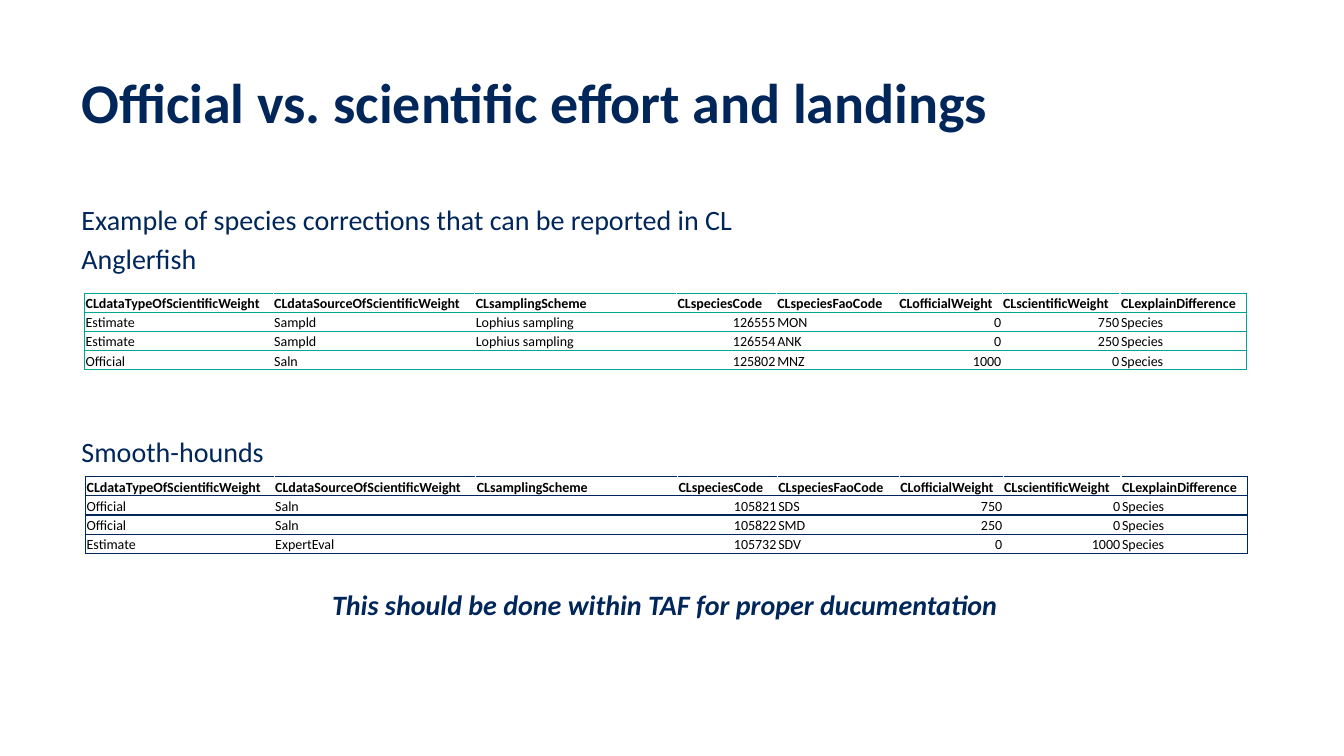
from pptx import Presentation
from pptx.dml.color import RGBColor
from pptx.enum.text import MSO_ANCHOR, PP_ALIGN
from pptx.oxml.xmlchemy import OxmlElement
from pptx.util import Inches, Pt

LEFT, CENTER, RIGHT = PP_ALIGN.LEFT, PP_ALIGN.CENTER, PP_ALIGN.RIGHT
MIDDLE, TOP, BOTTOM = MSO_ANCHOR.MIDDLE, MSO_ANCHOR.TOP, MSO_ANCHOR.BOTTOM
NAVY, TEAL, BLACK, WHITE = "00265A", "00A695", "000000", "FFFFFF"
COLUMN_WIDTHS = [1.87, 2, 2, 0.99, 1.21, 1.03, 1.17, 1.25]
ROW_HEIGHT = 0.19
HEADERS = [
    "CLdataTypeOfScientificWeight", "CLdataSourceOfScientificWeight",
    "CLsamplingScheme", "CLspeciesCode", "CLspeciesFaoCode",
    "CLofficialWeight", "CLscientificWeight", "CLexplainDifference",
]


def write_paragraph(paragraph, text, color, size, alignment=LEFT, **font_values):
    paragraph.alignment = alignment
    if not text:
        # The end mark keeps an empty table cell as low as its row
        end_mark = OxmlElement("a:endParaRPr")
        end_mark.set("sz", str(size * 100))
        paragraph._p.append(end_mark)
        return
    run = paragraph.add_run()
    run.text = text
    run.font.color.rgb = RGBColor.from_string(color)
    values = {"name": "Calibri", "size": Pt(size), **font_values}
    for name, value in values.items():
        setattr(run.font, name, value)


def add_border(cell, side, color):
    """Draw a 1 pt border on one side (L, R, T or B) of a table cell."""
    line = OxmlElement(f"a:ln{side}")
    line.set("w", str(Pt(1)))
    fill = OxmlElement("a:solidFill")
    fill_color = OxmlElement("a:srgbClr")
    fill_color.set("val", color)
    fill.append(fill_color)
    line.append(fill)
    cell._tc.get_or_add_tcPr().append(line)


presentation = Presentation()
presentation.slide_width = Inches(13.33)
presentation.slide_height = Inches(7.5)
slide = presentation.slides.add_slide(presentation.slide_layouts[6])

# Title and body: (text, space before in points, alignment, font values)
text_boxes = [
    ((0.71, 0.47, 10.22, 1.16), MIDDLE, 40, [
        ("Official vs. scientific effort and landings", 0, LEFT, {"bold": True}),
    ]),
    ((0.71, 2, 11.77, 4.81), TOP, 20, [
        ("Example of species corrections that can be reported in CL", 6, LEFT, {}),
        ("Anglerfish", 6, LEFT, {}),
        ("Smooth-hounds", 116, LEFT, {}),
        ("This should be done within TAF for proper ducumentation", 88, CENTER,
         {"bold": True, "italic": True}),
    ]),
]
for position, anchor, size, lines in text_boxes:
    text_box = slide.shapes.add_textbox(*map(Inches, position))
    text_frame = text_box.text_frame
    text_frame.word_wrap = True
    text_frame.vertical_anchor = anchor
    for index, (text, space_before, alignment, font_values) in enumerate(lines):
        paragraph = text_frame.add_paragraph() if index else text_frame.paragraphs[0]
        paragraph.line_spacing = 0.9
        paragraph.space_before = Pt(space_before)
        write_paragraph(paragraph, text, NAVY, size, alignment, **font_values)

# Species tables
anglerfish_rows = [
    ["Estimate", "Sampld", "Lophius sampling", "126555", "MON", "0", "750", "Species"],
    ["Estimate", "Sampld", "Lophius sampling", "126554", "ANK", "0", "250", "Species"],
    ["Official", "Saln", "", "125802", "MNZ", "1000", "0", "Species"],
]
smooth_hound_rows = [
    ["Official", "Saln", "", "105821", "SDS", "750", "0", "Species"],
    ["Official", "Saln", "", "105822", "SMD", "250", "0", "Species"],
    ["Estimate", "ExpertEval", "", "105732", "SDV", "0", "1000", "Species"],
]
cell_format = {
    "margin_left": Inches(0.01),
    "margin_right": Inches(0.01),
    "margin_top": Inches(0.01),
    "margin_bottom": 0,
    "vertical_anchor": BOTTOM,
}
last_column = len(HEADERS) - 1
for left, top, border_color, body_rows in [
    (0.84, 2.91, TEAL, anglerfish_rows),
    (0.85, 4.73, NAVY, smooth_hound_rows),
]:
    rows = [HEADERS] + body_rows
    table = slide.shapes.add_table(
        len(rows), len(HEADERS), Inches(left), Inches(top),
        Inches(sum(COLUMN_WIDTHS)), Inches(ROW_HEIGHT * len(rows)),
    ).table
    table.first_row = False
    table.horz_banding = False
    for column, width in zip(table.columns, COLUMN_WIDTHS):
        column.width = Inches(width)
    for row_index, row in enumerate(rows):
        table.rows[row_index].height = Inches(ROW_HEIGHT)
        for column_index, text in enumerate(row):
            cell = table.cell(row_index, column_index)
            for name, value in cell_format.items():
                setattr(cell, name, value)
            outer_sides = {0: "L", last_column: "R"}.get(column_index, "")
            for side in outer_sides + "TB":
                add_border(cell, side, border_color)
            cell.fill.solid()
            cell.fill.fore_color.rgb = RGBColor.from_string(WHITE)
            write_paragraph(
                cell.text_frame.paragraphs[0], text, BLACK, 10,
                RIGHT if text.isdigit() else LEFT, bold=row_index == 0,
            )

presentation.save("out.pptx")
